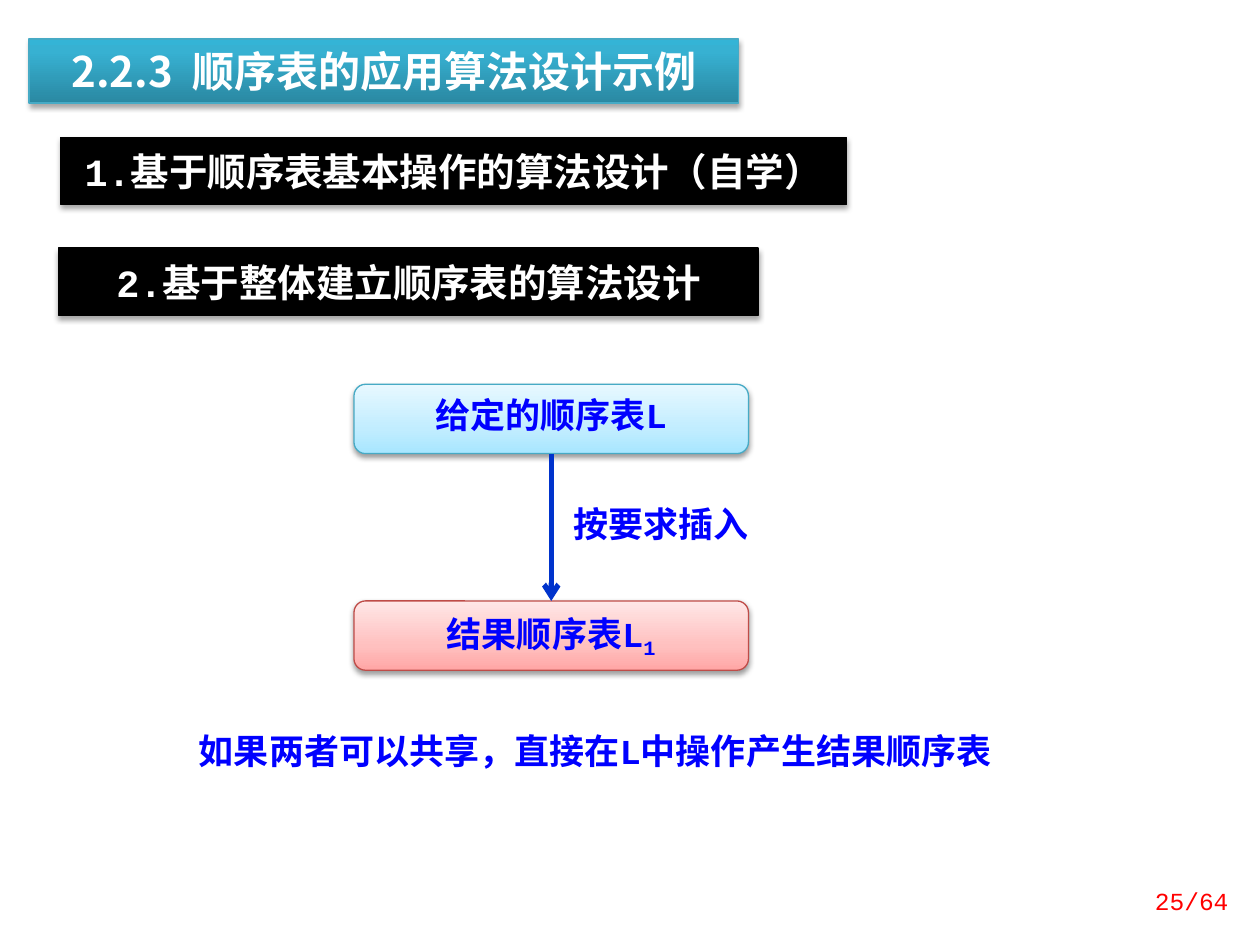
import lxml.etree
import pptx
import pptx.dml.color
import pptx.enum.dml
import pptx.enum.shapes
import pptx.enum.text
import pptx.oxml.ns
import pptx.util
from dataclasses import dataclass

Pt = pptx.util.Pt
ALIGN = pptx.enum.text.PP_ALIGN
ANCHOR = pptx.enum.text.MSO_ANCHOR
SHAPE = pptx.enum.shapes.MSO_SHAPE


@dataclass(frozen=True)
class Theme:
    latin: str = "Courier New"
    cjk: str = "Noto Sans CJK SC"
    title_size: int = 24
    heading_size: int = 22
    body_size: int = 20
    page_size: int = 14
    white: str = "FFFFFF"
    black: str = "000000"
    text_blue: str = "0000FF"
    arrow_blue: str = "0033CC"
    page_red: str = "FF0000"
    teal_line: str = "46AAC5"
    red_line: str = "BF4C48"
    title_stops: tuple = ((0, "2A88A2"), (80, "37B1D2"), (100, "34B4D6"))
    given_stops: tuple = ((0, "A7E6FF"), (35, "C1EDFF"), (100, "E7F8FF"))
    result_stops: tuple = ((0, "FFA6A5"), (35, "FFC0BF"), (100, "FFE7E7"))


def rgb(value):
    return pptx.dml.color.RGBColor.from_string(value)


def add_xml(parent, tag, **attributes):
    values = {name: str(value) for name, value in attributes.items()}
    return lxml.etree.SubElement(parent, pptx.oxml.ns.qn(tag), values)


def find_xml(shape, tag):
    return shape._element.spPr.find(".//" + pptx.oxml.ns.qn(tag))


def set_all(target, values):
    for name, value in values.items():
        setattr(target, name, value)


class SlideBuilder:
    """Holds the theme and the slide being filled; boxes are (left, top, width, height) in points."""

    def __init__(self, slide, theme):
        self.slide = slide
        self.theme = theme

    def set_text(self, shape, runs, size, color, bold=True, align=ALIGN.CENTER,
                 anchor=ANCHOR.MIDDLE, line_spacing=None):
        """Runs are (text, font name, extra run attributes)."""
        frame = shape.text_frame
        set_all(frame, {"word_wrap": True, "vertical_anchor": anchor,
                        "auto_size": pptx.enum.text.MSO_AUTO_SIZE.NONE,
                        "margin_left": Pt(7.2), "margin_right": Pt(7.2),
                        "margin_top": Pt(3.6), "margin_bottom": Pt(3.6)})
        paragraph = frame.paragraphs[0]
        set_all(paragraph, {"alignment": align, "line_spacing": line_spacing,
                            "space_before": Pt(0)})
        for text, font_name, extra in runs:
            run = paragraph.add_run()
            run.text = text
            set_all(run.font, {"size": Pt(size), "bold": bold, "name": font_name})
            run.font.color.rgb = rgb(color)
            properties = run.font._element
            add_xml(properties, "a:ea", typeface=self.theme.cjk)
            for name, value in extra.items():
                properties.set(name, str(value))

    def paint(self, shape, fill, line, shadow_opacity):
        """Fill is one colour or a bottom-to-top tuple of (percent, colour) stops."""
        if isinstance(fill, str):
            shape.fill.solid()
            shape.fill.fore_color.rgb = rgb(fill)
        else:
            shape.fill.gradient()
            shape.fill.gradient_angle = 90
            stop_list = find_xml(shape, "a:gsLst")
            stop_list.clear()
            for percent, color in fill:
                stop = add_xml(stop_list, "a:gs", pos=percent * 1000)
                add_xml(stop, "a:srgbClr", val=color)
        shape.line.color.rgb = rgb(line)
        shape.line.width = Pt(0.75)
        shape.shadow.inherit = False
        shadow = add_xml(find_xml(shape, "a:effectLst"), "a:outerShdw", blurRad=Pt(3.1),
                         dist=Pt(1.8), dir=90 * 60000, rotWithShape=0)
        shadow_color = add_xml(shadow, "a:srgbClr", val=self.theme.black)
        add_xml(shadow_color, "a:alpha", val=shadow_opacity * 1000)

    def title(self, box, runs):
        theme = self.theme
        title = self.slide.shapes.title
        set_all(title, dict(zip(("left", "top", "width", "height"), map(Pt, box))))
        self.paint(title, theme.title_stops, theme.teal_line, 35)
        self.set_text(title, runs, theme.title_size, theme.white)

    def heading(self, box, number, text):
        theme = self.theme
        bar = self.slide.shapes.add_shape(SHAPE.RECTANGLE, *map(Pt, box))
        self.paint(bar, theme.black, theme.black, 35)
        self.set_text(bar, [(number, theme.latin, {}), (text, theme.cjk, {})],
                      theme.heading_size, theme.white)

    def node(self, box, runs, fill, line):
        node = self.slide.shapes.add_shape(SHAPE.ROUNDED_RECTANGLE, *map(Pt, box))
        self.paint(node, fill, line, 38)
        self.set_text(node, runs, self.theme.body_size, self.theme.text_blue,
                      line_spacing=0.8)
        return node

    def arrow_down(self, upper, lower):
        arrow = self.slide.shapes.add_connector(
            pptx.enum.shapes.MSO_CONNECTOR.STRAIGHT, 0, 0, 0, 0)
        arrow.begin_connect(upper, 2)
        arrow.end_connect(lower, 0)
        arrow.line.color.rgb = rgb(self.theme.arrow_blue)
        arrow.line.width = Pt(3)
        add_xml(find_xml(arrow, "a:ln"), "a:tailEnd", type="arrow")
        add_xml(arrow._element.spPr, "a:effectLst")

    def text(self, box, text, size, color, **layout):
        text_box = self.slide.shapes.add_textbox(*map(Pt, box))
        self.set_text(text_box, [(text, self.theme.latin, {})], size, color, **layout)


def main():
    theme = Theme()
    deck = pptx.Presentation()
    set_all(deck, {"slide_width": Pt(720), "slide_height": Pt(540)})
    page = SlideBuilder(deck.slides.add_slide(deck.slide_layouts[5]), theme)

    wide_space = (" ", theme.cjk, {"spc": 540})
    page.title((16.6, 22.3, 405.4, 36.6),
               [("2.2.3", theme.cjk, {}), wide_space,
                ("顺序表的应用算法设计示例", theme.cjk, {})])
    page.heading((34.6, 78.5, 449.3, 38.4), "1.", "基于顺序表基本操作的算法设计（自学）")
    page.heading((33.6, 141.8, 399.6, 38.4), "2.", "基于整体建立顺序表的算法设计")

    node_left, node_width, node_height = 202.3, 225.4, 39.6
    given = page.node((node_left, 219.6, node_width, node_height),
                      [("给定的顺序表L", theme.latin, {})],
                      theme.given_stops, theme.teal_line)
    result = page.node((node_left, 343.4, node_width, node_height),
                       [("结果顺序表L", theme.latin, {}),
                        ("1", theme.latin, {"baseline": -25000})],
                       theme.result_stops, theme.red_line)
    page.arrow_down(given, result)

    note_layout = {"align": ALIGN.LEFT, "anchor": ANCHOR.TOP, "line_spacing": Pt(26)}
    for box, note in (
        ((320.4, 281.5, 157.7, 33.8), "按要求插入"),
        ((106.6, 411.1, 478, 33.8), "如果两者可以共享，直接在L中操作产生结果顺序表"),
    ):
        page.text(box, note, theme.body_size, theme.text_blue, **note_layout)
    page.text((641.5, 500.4, 67.7, 28.8), "25/64", theme.page_size, theme.page_red,
              bold=False, align=ALIGN.RIGHT)

    deck.save("out.pptx")


if __name__ == "__main__":
    main()
